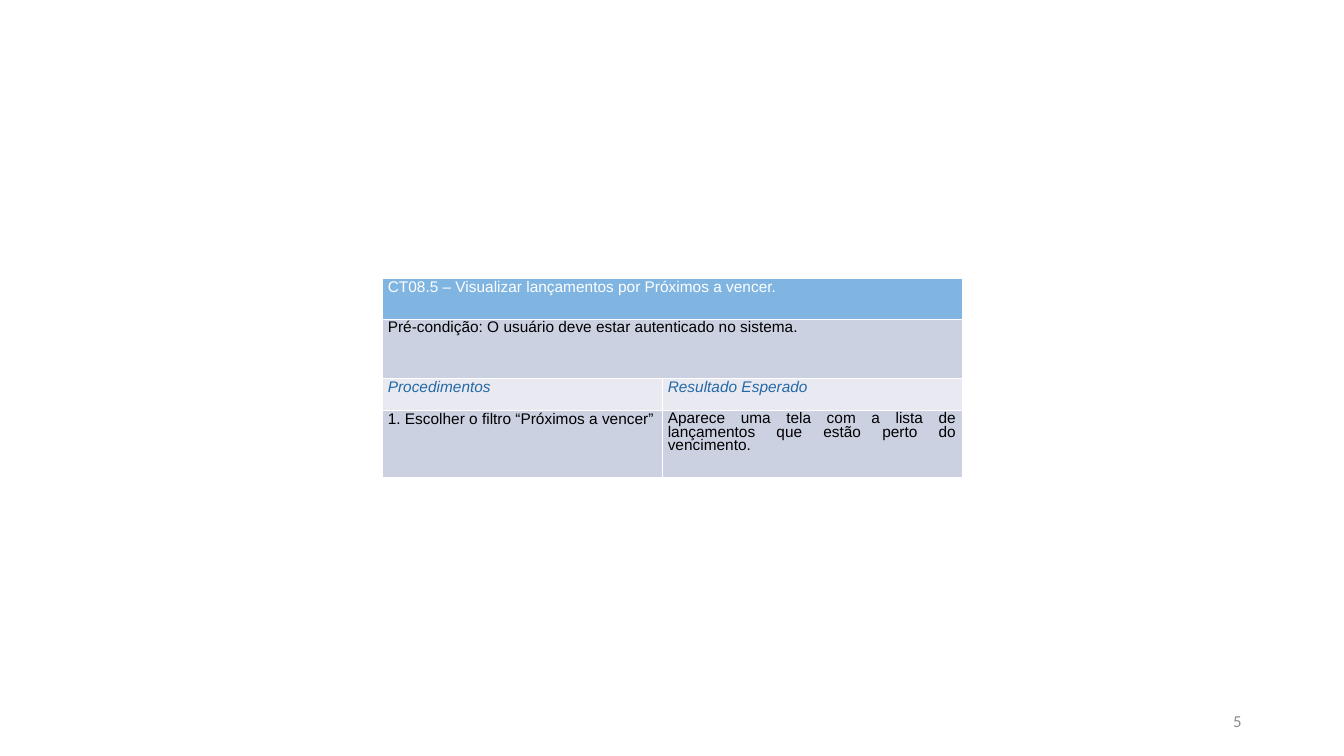
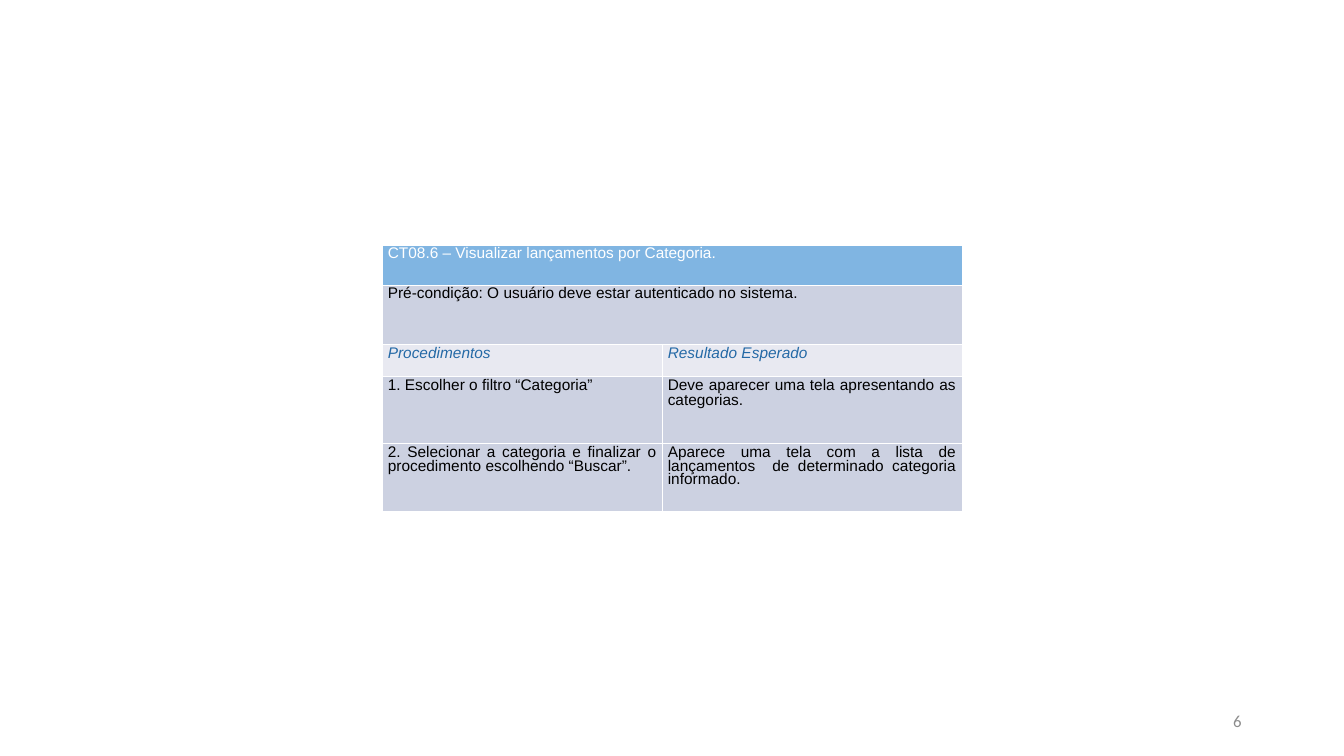
import lxml.etree
import pptx
import pptx.dml.color
import pptx.enum.text
import pptx.oxml.ns
import pptx.util

Pt = pptx.util.Pt
ALIGN = pptx.enum.text.PP_ALIGN

COLORS = {
    "white": "FFFFFF",
    "black": "000000",
    "header": "80B5E2",
    "body": "CCD1E1",
    "subheader": "E8E9F1",
    "label": "2469A6",
    "page_number": "8C8C8C",
}
SLIDE_WIDTH, SLIDE_HEIGHT = 960, 540
COLUMN_WIDTHS = [200, 214]
HEADING_HEIGHTS = [28.8, 42.5, 22.4]
STEP_HEIGHT = 48.4
BORDER_WIDTH = 0.06
TIGHT, LOOSE = 0.8, 0.86
FIRST_PAGE = 5
PRECONDITION = "Pré-condição: O usuário deve estar autenticado no sistema."

# Each step is a row of (text, line spacing) pairs: procedure, expected result.
TEST_CASES = [
    ("CT08.5 – Visualizar lançamentos por Próximos a vencer.", [
        [("1. Escolher o filtro “Próximos a vencer”", LOOSE),
         ("Aparece uma tela com a lista de lançamentos que estão perto do vencimento.", TIGHT)],
    ]),
    ("CT08.6 – Visualizar lançamentos por Categoria.", [
        [("1. Escolher o filtro “Categoria”", LOOSE),
         ("Deve aparecer uma tela apresentando as categorias.", LOOSE)],
        [("2. Selecionar a categoria e finalizar o procedimento escolhendo “Buscar”.", TIGHT),
         ("Aparece uma tela com a lista de lançamentos  de determinado categoria informado.", TIGHT)],
    ]),
]


def rgb(name):
    return pptx.dml.color.RGBColor.from_string(COLORS[name])


def set_font(paragraph, name, size, color):
    paragraph.font.name = name
    paragraph.font.size = Pt(size)
    paragraph.font.color.rgb = rgb(color)


def add_borders(cell):
    properties = cell._tc.get_or_add_tcPr()
    for side in ("a:lnL", "a:lnR", "a:lnT", "a:lnB"):
        line = lxml.etree.SubElement(properties, pptx.oxml.ns.qn(side), w=str(Pt(BORDER_WIDTH)))
        fill = lxml.etree.SubElement(line, pptx.oxml.ns.qn("a:solidFill"))
        lxml.etree.SubElement(fill, pptx.oxml.ns.qn("a:srgbClr"), val=COLORS["white"])


def style_cell(cell, fill):
    """Set borders before the fill, as the schema orders them."""
    add_borders(cell)
    cell.fill.solid()
    cell.fill.fore_color.rgb = rgb(fill)
    cell.margin_left = cell.margin_right = Pt(4)
    cell.margin_top = cell.margin_bottom = Pt(2)


def write_cell(cell, text, color="black", spacing=TIGHT, align=ALIGN.LEFT, italic=False):
    paragraph = cell.text_frame.paragraphs[0]
    paragraph.text = text
    paragraph.alignment = align
    paragraph.line_spacing = spacing
    set_font(paragraph, "Arial", 11, color)
    paragraph.font.italic = italic


def add_test_case(slide, title, steps):
    """Add the test case table, centred on the slide."""
    heights = HEADING_HEIGHTS + [STEP_HEIGHT] * len(steps)
    width, height = sum(COLUMN_WIDTHS), sum(heights)
    table = slide.shapes.add_table(
        len(heights), len(COLUMN_WIDTHS),
        Pt((SLIDE_WIDTH - width) / 2), Pt((SLIDE_HEIGHT - height) / 2),
        Pt(width), Pt(height)).table
    table.first_row = table.horz_banding = False
    for column, column_width in zip(table.columns, COLUMN_WIDTHS):
        column.width = Pt(column_width)
    fills = ["header", "body", "subheader"] + ["body"] * len(steps)
    for row, row_height, fill in zip(table.rows, heights, fills):
        row.height = Pt(row_height)
        for cell in row.cells:
            style_cell(cell, fill)

    for row_index, (text, color) in enumerate([(title, "white"), (PRECONDITION, "black")]):
        table.cell(row_index, 0).merge(table.cell(row_index, 1))
        write_cell(table.cell(row_index, 0), text, color)
    for column_index, label in enumerate(["Procedimentos", "Resultado Esperado"]):
        write_cell(table.cell(2, column_index), label, "label", italic=True)
    for row_index, step in enumerate(steps, start=len(HEADING_HEIGHTS)):
        for column_index, (text, spacing) in enumerate(step):
            write_cell(table.cell(row_index, column_index), text,
                       spacing=spacing, align=ALIGN.JUSTIFY)


def add_page_number(slide, number):
    frame = slide.shapes.add_textbox(Pt(678), Pt(500.5), Pt(216), Pt(28.8)).text_frame
    frame.word_wrap = True
    frame.vertical_anchor = pptx.enum.text.MSO_ANCHOR.MIDDLE
    paragraph = frame.paragraphs[0]
    paragraph.text = str(number)
    paragraph.alignment = ALIGN.RIGHT
    set_font(paragraph, "Calibri", 12, "page_number")


def main():
    presentation = pptx.Presentation()
    presentation.slide_width = Pt(SLIDE_WIDTH)
    presentation.slide_height = Pt(SLIDE_HEIGHT)
    blank_layout = presentation.slide_layouts[6]
    for number, (title, steps) in enumerate(TEST_CASES, start=FIRST_PAGE):
        slide = presentation.slides.add_slide(blank_layout)
        add_page_number(slide, number)
        add_test_case(slide, title, steps)
    presentation.save("out.pptx")


if __name__ == "__main__":
    main()
